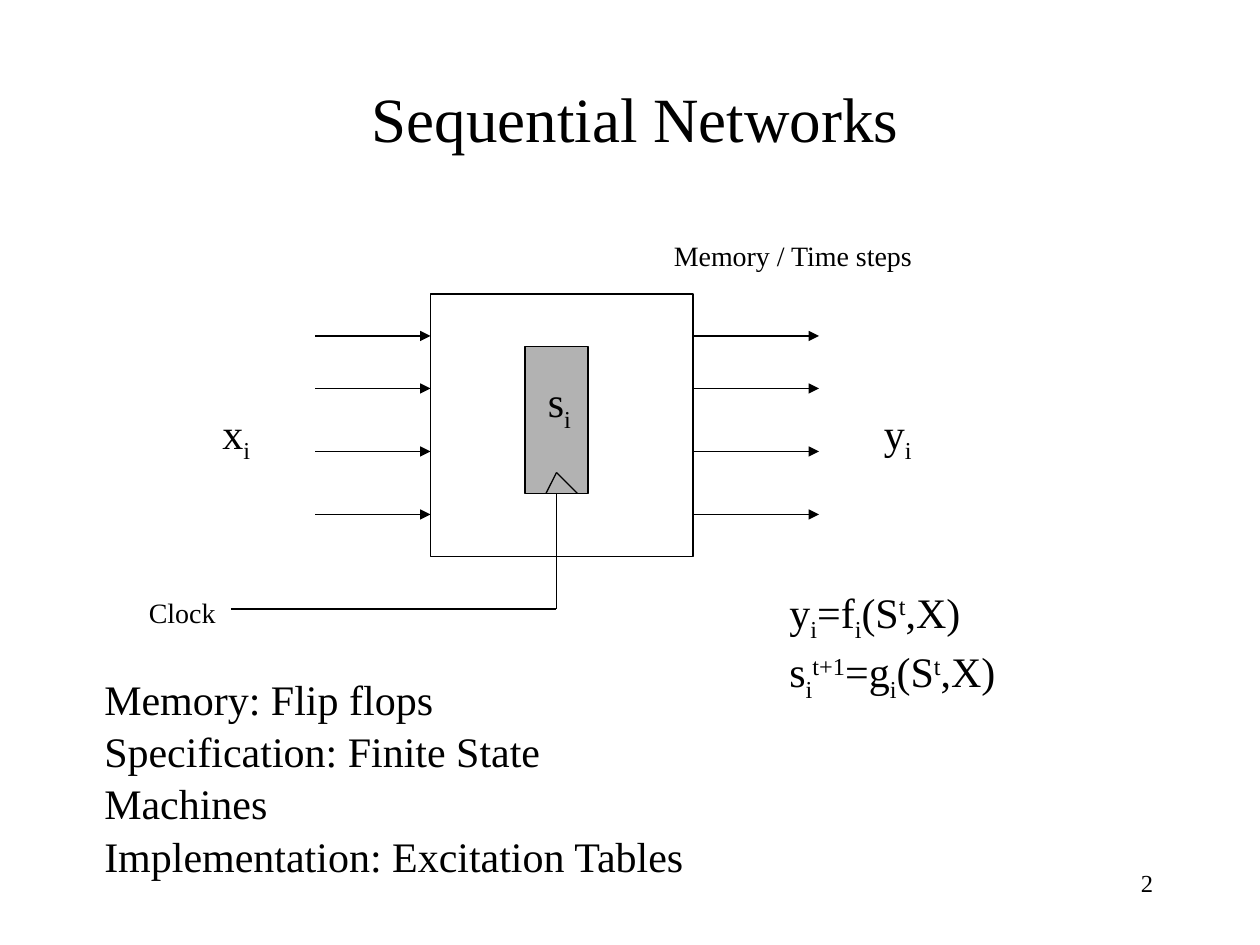
"""Builds the Sequential Networks slide: a clocked block diagram with its equations."""
from dataclasses import dataclass

from lxml import etree
from pptx import Presentation
from pptx import util as u
from pptx.dml.color import RGBColor
from pptx.enum import shapes, text
from pptx.oxml.ns import qn


@dataclass(frozen=True)
class Theme:
    """Colours, font, type sizes and line width."""
    ink: RGBColor = RGBColor(0, 0, 0)
    memory: RGBColor = RGBColor(0xB2, 0xB2, 0xB2)
    font: str = "Times New Roman"
    title: int = 36
    body: int = 24
    label: int = 16
    number: int = 14
    line: float = 0.75
    leading: float = 1.04


class Sketch:
    """Draws styled elements on the current slide."""

    def __init__(self, page, theme):
        self.page, self.theme = page, theme

    def apply(self, target, values):
        for name, value in values.items():
            setattr(target, name, value)

    def outline(self, line):
        line.color.rgb = self.theme.ink
        line.width = u.Pt(self.theme.line)

    def block(self, left, top, width, height, fill=None):
        box = self.page.shapes.add_shape(
            shapes.MSO_SHAPE.RECTANGLE, *map(u.Pt, (left, top, width, height)))
        box.shadow.inherit = False
        if fill is None:
            box.fill.background()
        else:
            box.fill.solid()
            box.fill.fore_color.rgb = fill
        self.outline(box.line)

    def wire(self, start, end, arrow=False):
        wire = self.page.shapes.add_connector(
            shapes.MSO_CONNECTOR.STRAIGHT, *map(u.Pt, (*start, *end)))
        self.outline(wire.line)
        if arrow:
            etree.SubElement(wire.line._get_or_add_ln(), qn("a:tailEnd"), type="triangle")
        etree.SubElement(wire._element.spPr, qn("a:effectLst"))

    def words(self, area, paragraphs, size, align=text.PP_ALIGN.LEFT, **frame_format):
        box = self.page.shapes.add_textbox(*map(u.Pt, area))
        frame = box.text_frame
        self.apply(frame, {"word_wrap": False, **frame_format})
        for index, spans in enumerate(paragraphs):
            para = frame.add_paragraph() if index else frame.paragraphs[0]
            self.apply(para, {"alignment": align, "line_spacing": self.theme.leading})
            for content, baseline in spans:
                span = para.add_run()
                span.text = content
                self.apply(span.font, {"name": self.theme.font, "size": u.Pt(size)})
                span.font.color.rgb = self.theme.ink
                if baseline:
                    span.font._element.set("baseline", str(baseline * 1000))


def plain(content):
    return [(content, 0)]


def sub(content):
    return content, -25


def sup(content):
    return content, 30


def function(name):
    return [(f"={name}", 0), sub("i"), ("(S", 0), sup("t"), (",X)", 0)]


def main():
    theme = Theme()
    deck = Presentation()
    deck.slide_width, deck.slide_height = u.Pt(720), u.Pt(540)
    sketch = Sketch(deck.slides.add_slide(deck.slide_layouts[6]), theme)

    sketch.words((54, 48, 618, 36), [plain("Sequential Networks")], theme.title,
                 text.PP_ALIGN.CENTER, word_wrap=True,
                 vertical_anchor=text.MSO_ANCHOR.MIDDLE)

    sketch.block(246, 168, 150, 150)
    for start, end in ((180, 246), (396, 468)):
        for level in (192, 222, 258, 294):
            sketch.wire((start, level), (end, level), arrow=True)
    sketch.block(300, 198, 36, 84, theme.memory)
    for start, end in (((312, 282), (318, 270)), ((318, 270), (330, 282)),
                       ((132, 348), (318, 348)), ((318, 282), (318, 348))):
        sketch.wire(start, end)

    sketch.words((378, 132, 153, 26.5), [plain("Memory / Time steps")], theme.label)
    sketch.words((78, 336, 52.5, 26.5), [plain("Clock")], theme.label)
    for name, left, top in (("x", 120, 228), ("y", 498, 228), ("s", 306, 210)):
        sketch.words((left, top, 31, 36), [[(name, 0), sub("i")]], theme.body)

    sketch.words((52.5, 380, 362, 94), [
        plain("Memory: Flip flops"),
        plain("Specification: Finite State Machines"),
        plain("Implementation: Excitation Tables"),
    ], theme.body, word_wrap=True, margin_right=u.Pt(18))
    sketch.words((444, 330, 137, 65), [
        [("y", 0), sub("i"), *function("f")],
        [("s", 0), sub("i"), sup("t+1"), *function("g")],
    ], theme.body)
    sketch.words((516, 492, 150, 36), [plain("2")], theme.number,
                 text.PP_ALIGN.RIGHT, word_wrap=True)

    deck.save("out.pptx")


if __name__ == "__main__":
    main()
